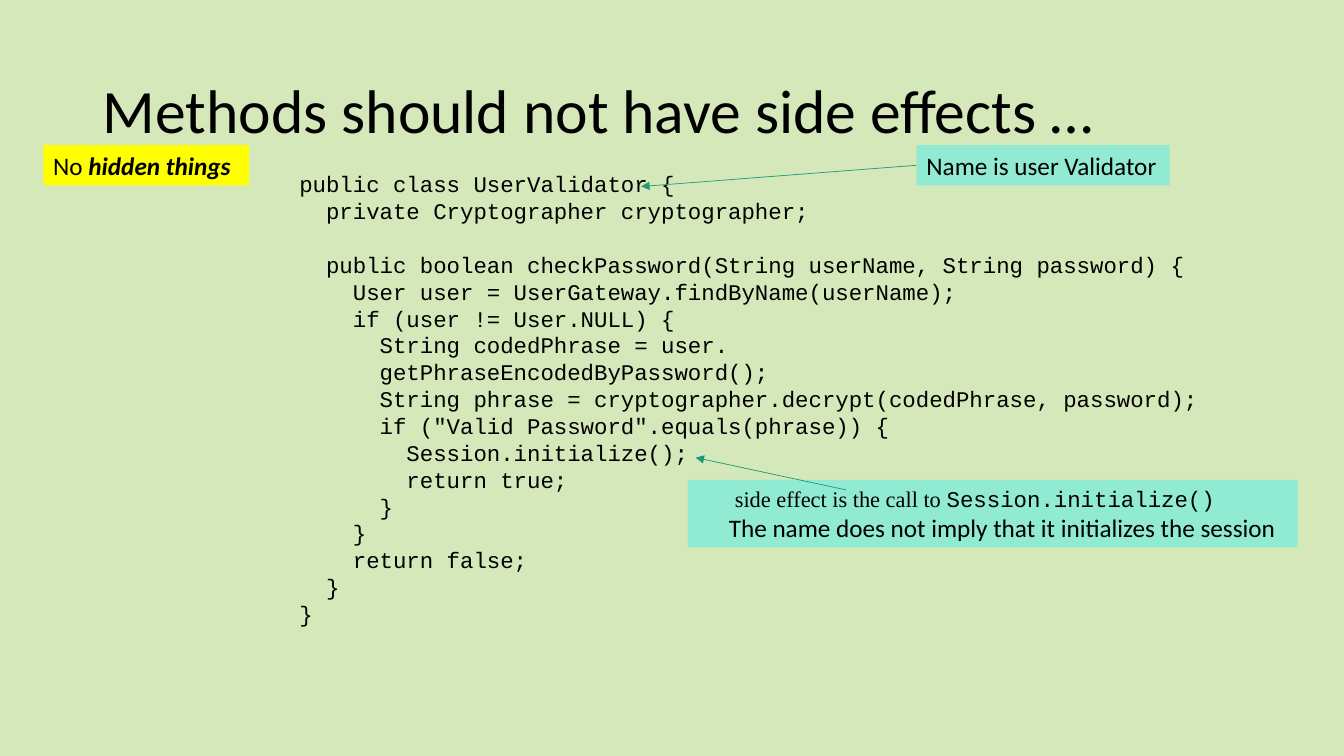
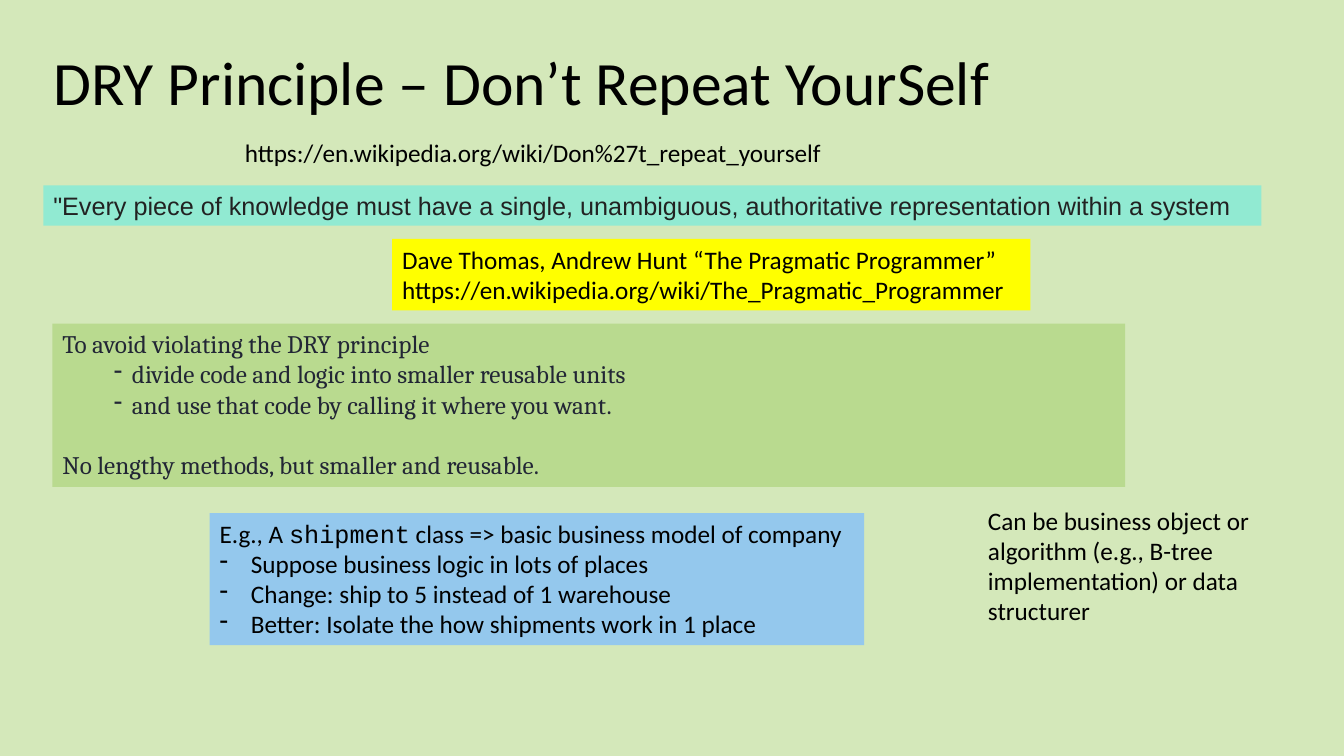
from lxml import etree
from pptx import Presentation
from pptx import util as u
from pptx.dml import color
from pptx.enum import shapes, text
from pptx.oxml import ns

COLOURS = {
    "page": "D4E8BA",
    "ink": "000000",
    "quote": "222222",
    "slate": "222635",
    "yellow": "FFFF00",
    "mint": "91EAD2",
    "green": "B9DA8F",
    "blue": "94C8ED",
    "arrow": "1D9A78",
}
BODY, CODE, SERIF = "Calibri", "Courier New", "Times New Roman"
CODE_PITCH = 19.2
TITLE_SIZE = (11.5, 1.45)

VALIDATOR_CODE = """\
public class UserValidator {
  private Cryptographer cryptographer;

  public boolean checkPassword(String userName, String password) {
    User user = UserGateway.findByName(userName);
    if (user != User.NULL) {
      String codedPhrase = user.
      getPhraseEncodedByPassword();
      String phrase = cryptographer.decrypt(codedPhrase, password);
      if ("Valid Password".equals(phrase)) {
        Session.initialize();
        return true;
      }
    }
    return false;
  }
}"""


def rgb(name):
    return color.RGBColor.from_string(COLOURS[name])


def add_span(para, words, font=BODY, size=18, ink="ink", strong=False):
    span = para.add_run()
    span.text = words
    span.font.name = font
    span.font.size = u.Pt(size)
    span.font.color.rgb = rgb(ink)
    if strong:
        span.font.bold = span.font.italic = True


def add_para(frame, left=0, hang=0, before=0):
    first = frame.paragraphs[0]
    para = frame.add_paragraph() if first.runs else first
    para.alignment = text.PP_ALIGN.LEFT
    properties = para._p.get_or_add_pPr()
    if left:
        properties.set("marL", str(u.Inches(left)))
    if hang:
        properties.set("indent", str(-u.Inches(hang)))
        bullet = etree.SubElement(properties, ns.qn("a:buChar"))
        bullet.set("char", "-")
    if before:
        para.space_before = u.Pt(before)
    return para


def add_line(frame, words, left=0, hang=0, before=0, **style):
    add_span(add_para(frame, left, hang, before), words, **style)


def add_box(page, bounds, fill=None, anchor=text.MSO_ANCHOR.TOP):
    place = [u.Inches(length) for length in bounds]
    if fill:
        box = page.shapes.add_shape(shapes.MSO_SHAPE.RECTANGLE, *place)
        box.shadow.inherit = False
        box.fill.solid()
        box.fill.fore_color.rgb = rgb(fill)
        box.line.fill.background()
    else:
        box = page.shapes.add_textbox(*place)
    frame = box.text_frame
    frame.word_wrap = True
    frame.vertical_anchor = anchor
    return frame


def add_code(page, bounds, code):
    frame = add_box(page, bounds)
    gap = 0
    for line in code.splitlines():
        if not line:
            gap = CODE_PITCH
            continue
        para = add_para(frame, before=gap)
        para.line_spacing = u.Pt(CODE_PITCH)
        add_span(para, line, CODE, 16)
        gap = 0


def add_arrow(page, start, end):
    ends = [u.Inches(length) for length in (*start, *end)]
    arrow = page.shapes.add_connector(shapes.MSO_CONNECTOR.STRAIGHT, *ends)
    arrow.line.color.rgb = rgb("arrow")
    arrow.line.width = u.Pt(0.5)
    head = etree.SubElement(arrow.line._get_or_add_ln(), ns.qn("a:tailEnd"))
    head.set("type", "triangle")
    etree.SubElement(arrow._element.spPr, ns.qn("a:effectLst"))


def add_page(deck, title, left, top):
    page = deck.slides.add_slide(deck.slide_layouts[5])
    box = page.shapes.title
    box.left, box.top = u.Inches(left), u.Inches(top)
    box.width, box.height = (u.Inches(length) for length in TITLE_SIZE)
    box.text_frame.vertical_anchor = text.MSO_ANCHOR.MIDDLE
    para = add_para(box.text_frame)
    para.line_spacing = 0.9
    add_span(para, title, size=44)
    return page


def build_side_effects(deck):
    page = add_page(deck, "Methods should not have side effects …", 0.92, 0.4)
    para = add_para(add_box(page, (0.43, 1.44, 2.04, 0.4), "yellow"))
    add_span(para, "No ")
    add_span(para, "hidden things", strong=True)

    add_code(page, (2.87, 1.64, 9.83, 4.68), VALIDATOR_CODE)

    callout = add_box(page, (6.82, 4.76, 6.05, 0.67), "mint", text.MSO_ANCHOR.MIDDLE)
    para = add_para(callout, left=0.37)
    add_span(para, "side effect is the call to ", SERIF, 16)
    add_span(para, "Session.initialize()", CODE, 16)
    add_line(callout, "The name does not imply that it initializes the session", left=0.31)
    add_arrow(page, (8.39, 4.86), (6.9, 4.54))

    add_line(add_box(page, (9.09, 1.44, 2.51, 0.4), "mint"), "Name is user Validator")
    add_arrow(page, (9.09, 1.64), (6.36, 1.85))


def build_dry_principle(deck):
    page = add_page(deck, "DRY Principle – Don’t Repeat YourSelf", 0.43, 0.12)
    add_line(add_box(page, (2.33, 1.31, 5.99, 0.4)),
             "https://en.wikipedia.org/wiki/Don%27t_repeat_yourself")
    add_line(add_box(page, (0.43, 1.84, 12.08, 0.4), "mint"),
             "\"Every piece of knowledge must have a single, unambiguous, "
             "authoritative representation within a system",
             font="Arial", ink="quote")

    book = add_box(page, (3.89, 2.37, 6.33, 0.71), "yellow")
    add_line(book, "Dave Thomas, Andrew Hunt “The Pragmatic Programmer”")
    add_line(book, "https://en.wikipedia.org/wiki/The_Pragmatic_Programmer")

    advice = add_box(page, (0.52, 3.21, 10.64, 1.62), "green")
    style = {"font": "Cambria", "ink": "slate"}
    add_line(advice, "To avoid violating the DRY principle", **style)
    for step in ("divide code and logic into smaller reusable units",
                 "and use that code by calling it where you want."):
        add_line(advice, step, left=0.69, hang=0.18, **style)
    add_line(advice, "No lengthy methods, but smaller and reusable.", before=21.6, **style)

    example = add_box(page, (2.08, 5.09, 6.49, 1.31), "blue")
    para = add_para(example)
    add_span(para, "E.g., A ")
    add_span(para, "shipment", CODE)
    add_span(para, " class => basic business model of company")
    for point in ("Suppose business logic in lots of places",
                  "Change: ship to 5 instead of 1 warehouse",
                  "Better: Isolate the how shipments work in 1 place"):
        add_line(example, point, left=0.31, hang=0.31)

    add_line(add_box(page, (9.7, 4.96, 3.51, 1.31)),
             "Can be business object or algorithm (e.g., B-tree implementation) "
             "or data structurer")


def main():
    deck = Presentation()
    deck.slide_width, deck.slide_height = u.Inches(13.33), u.Inches(7.5)
    backdrop = deck.slide_master.background.fill
    backdrop.solid()
    backdrop.fore_color.rgb = rgb("page")
    build_side_effects(deck)
    build_dry_principle(deck)
    deck.save("out.pptx")


if __name__ == "__main__":
    main()
